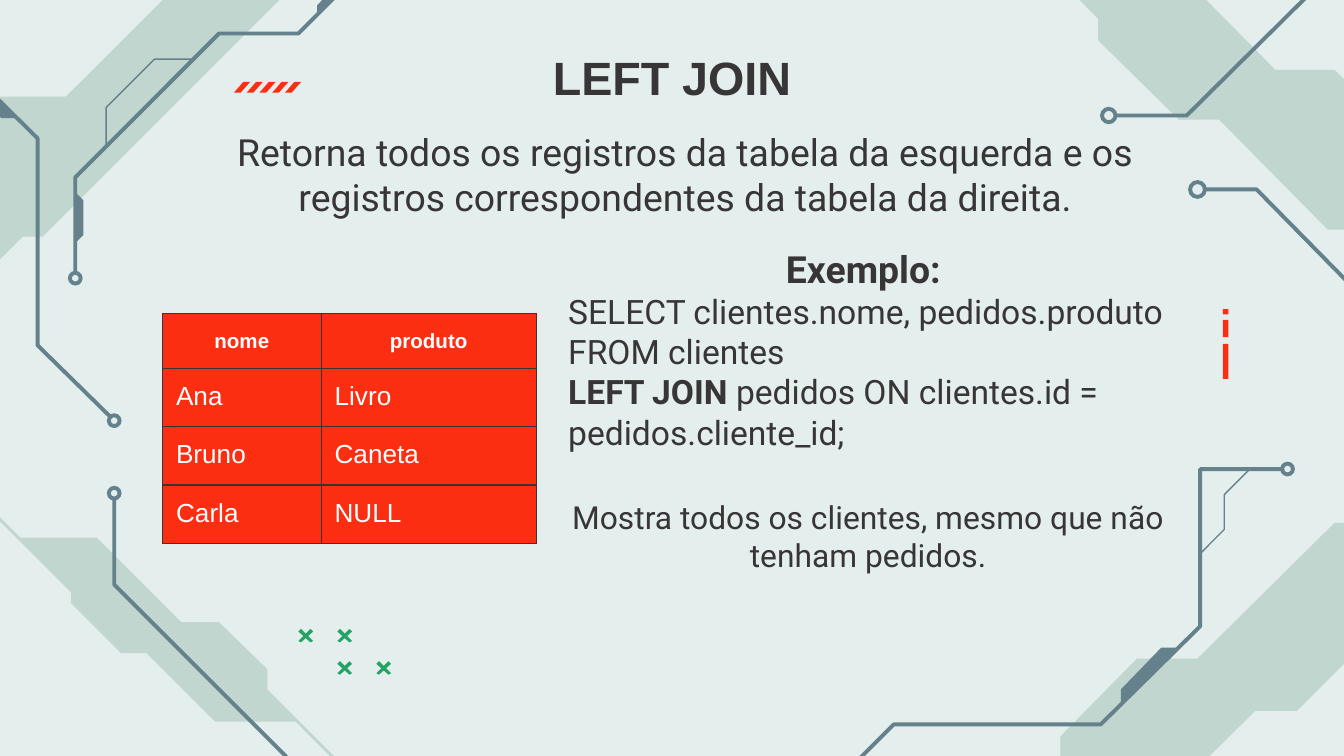
"""Build the LEFT JOIN slide with its circuit-board decoration."""
from lxml import etree
from pptx import Presentation
from pptx.dml.color import RGBColor
from pptx.enum.shapes import MSO_SHAPE
from pptx.enum.text import MSO_ANCHOR, MSO_AUTO_SIZE, PP_ALIGN
from pptx.oxml.ns import qn
from pptx.util import Inches, Pt

RECTANGLE, DONUT = MSO_SHAPE.RECTANGLE, MSO_SHAPE.DONUT
LEFT, CENTER = PP_ALIGN.LEFT, PP_ALIGN.CENTER
TOP, MIDDLE = MSO_ANCHOR.TOP, MSO_ANCHOR.MIDDLE
GROW, FIXED = MSO_AUTO_SIZE.SHAPE_TO_FIT_TEXT, MSO_AUTO_SIZE.NONE

MIST = RGBColor(0xE3, 0xEE, 0xED)
SAGE = RGBColor(0xC1, 0xD6, 0xCE)
STEEL = RGBColor(0x64, 0x81, 0x8C)
RED = RGBColor(0xFC, 0x2E, 0x12)
GREEN = RGBColor(0x24, 0xA3, 0x64)
INK = RGBColor(0x38, 0x35, 0x36)
WHITE = RGBColor(0xFF, 0xFF, 0xFF)

WIDTH = Inches(10)
HEIGHT = WIDTH * 9 // 16
COLUMNS = 10
UNIT = WIDTH // COLUMNS
INSETS = {f"margin_{side}": Inches(0.1) for side in ("left", "top", "right", "bottom")}

PLATES = [
    [(8.49, -0.49), (9.49, 0.52), (9.93, 0.52), (10.5, 1.08), (10.5, 1.35), (10.86, 1.71),
     (9.88, 1.71), (9.07, 0.89), (8.77, 0.89), (8.17, 0.3), (8.17, 0.14), (7.55, -0.49)],
    [(-2.06, 1.79), (-2.08, 1.8), (0.53, 4.41), (0.53, 4.49), (0.9, 4.86), (1.09, 4.86),
     (1.6, 5.37), (2.2, 5.37), (4.82, 8), (4.84, 7.98), (1.99, 5.13), (1.99, 4.98),
     (1.63, 4.63), (1.35, 4.63), (0.72, 4), (0.15, 4)],
    [(9.93, 3.89), (8.91, 4.9), (8.46, 4.9), (7.89, 5.48), (7.89, 5.75), (7.52, 6.11),
     (8.51, 6.11), (9.34, 5.29), (9.65, 5.29), (10.25, 4.69), (10.25, 4.53), (10.89, 3.89)],
    [(1.21, 0), (0.49, 0.72), (-0.16, 0.72), (-1.62, 2.17), (-0.25, 2.18), (0.17, 1.76),
     (0.32, 1.76), (2.08, 0)],
]
CHIPS = [
    [(8.77, 4.82), (8.64, 4.82), (8.34, 5.13), (8.34, 5.25)],
    [(0.57, 1.44), (0.62, 1.49), (0.62, 1.75), (0.57, 1.8)],
    [(2.62, -0.15), (2.36, 0.11), (2.36, 0.04), (2.54, -0.15)],
    [(-0.29, 0.45), (-0.29, 0.57), (0.01, 0.88), (0.13, 0.88)],
]
TRACES = [
    [(0.85, 3.7), (0.85, 4.35), (2.13, 5.63), (2.13, 6.02)],
    [(8.97, 1.41), (9.35, 1.41), (10.57, 2.65), (11.2, 2.65)],
    [(9.55, 3.49), (8.93, 3.49), (8.93, 4.66), (8.19, 5.39), (6.65, 5.39), (6.1, 5.94)],
    [(3.01, -0.54), (2.22, 0.25), (1.63, 0.25), (0.56, 1.32), (0.56, 2.03)],
    [(8.29, 0.86), (8.83, 0.86), (9.9, -0.2), (10.23, -0.2)],
    [(-1.62, -0.33), (-1.62, 0.3), (-0.46, 0.3), (0.28, 1.03), (0.28, 2.57), (0.83, 3.11)],
]
FINE_TRACES = [
    [(9.3, 3.49), (9.11, 3.68), (9.11, 3.94), (8.93, 4.12)],
    [(1.45, 0.44), (1.15, 0.44), (0.79, 0.8), (0.79, 1.09)],
]
PADS = [(0.85, 3.67, 0.11), (8.91, 1.41, 0.14), (9.58, 3.49, 0.11),
        (0.56, 2.07, 0.11), (8.25, 0.86, 0.13), (0.85, 3.13, 0.11)]
CROSSES = [(2.22, 4.68), (2.51, 4.68), (2.51, 4.92), (2.8, 4.92)]
DASHES = [(2.3, 0.04), (2.38, 0.13), (2.56, 0.26)]

ROWS = [("nome", "produto"), ("Ana", "Livro"), ("Bruno", "Caneta"), ("Carla", "NULL")]
INTRO = [
    ([("Retorna todos os registros da tabela da esquerda e os registros "
       "correspondentes da tabela da direita.", False)], 20, CENTER, 0),
]
EXAMPLE = [
    ([("Exemplo: ", True)], 20, CENTER, 0),
    ([("SELECT clientes.nome, pedidos.produto", False)], 18, LEFT, 0),
    ([("FROM clientes", False)], 18, LEFT, 0),
    ([("LEFT JOIN", True), (" pedidos ON clientes.id = pedidos.cliente_id;", False)], 18, LEFT, 0),
    ([("Mostra todos os clientes, mesmo que não tenham pedidos.", False)], 17, CENTER, 24.5),
]


def grid(*lengths):
    """Turn grid units into slide lengths."""
    return [round(length * UNIT) for length in lengths]


def outline(slide, points, closed):
    """Draw a flat path through grid points."""
    corners = [tuple(grid(*point)) for point in points]
    builder = slide.shapes.build_freeform(*corners[0])
    builder.add_line_segments(corners[1:], close=closed)
    path_shape = builder.convert_to_shape()
    path_shape.shadow.inherit = False
    return path_shape


def paint(shape, color):
    """Fill a shape without an outline."""
    shape.shadow.inherit = False
    shape.fill.solid()
    shape.fill.fore_color.rgb = color
    shape.line.fill.background()


def add_trace(slide, points, weight):
    """Draw an open circuit trace."""
    trace = outline(slide, points, False)
    trace.fill.background()
    trace.line.color.rgb = STEEL
    trace.line.width = Pt(weight)


def add_pad(slide, x, y, size):
    """Draw a ring centred on the end of a trace."""
    pad = slide.shapes.add_shape(DONUT, *grid(x - size / 2, y - size / 2, size, size))
    pad.adjustments[0] = 0.03 / size
    paint(pad, STEEL)


def add_cross(slide, x, y):
    """Draw a small cross from two mirrored bars."""
    bar = [(0.09, 0), (0, 0.09), (0.02, 0.1), (0.11, 0.02)]
    for points in (bar, [(0.11 - dx, dy) for dx, dy in bar]):
        paint(outline(slide, [(x + dx, y + dy) for dx, dy in points], True), GREEN)


def add_decoration(slide):
    """Draw plates, circuit traces and accents."""
    for shapes, color in ((PLATES, SAGE), (CHIPS, STEEL)):
        for points in shapes:
            paint(outline(slide, points, True), color)
    for traces, weight in ((TRACES, 2.1), (FINE_TRACES, 0.75)):
        for points in traces:
            add_trace(slide, points, weight)
    for pad in PADS:
        add_pad(slide, *pad)
    for cross in CROSSES:
        add_cross(slide, *cross)
    for step in range(5):
        x = 1.74 + step * 0.095
        slash = [(x + 0.07, 0.61), (x, 0.69), (x + 0.05, 0.69), (x + 0.12, 0.61)]
        paint(outline(slide, slash, True), RED)
    for y, length in DASHES:
        paint(slide.shapes.add_shape(RECTANGLE, *grid(9.1, y, 0.04, length)), RED)


def set_all(target, values):
    """Set attributes from a dict of format values."""
    for name, value in values.items():
        setattr(target, name, value)


def format_frame(frame, anchor, fit):
    """Set wrapping, insets and anchor of a text frame."""
    set_all(frame, {"word_wrap": True, "auto_size": fit, "vertical_anchor": anchor, **INSETS})


def add_run(paragraph, text, size, font, color, bold):
    """Append formatted text to a paragraph."""
    run = paragraph.add_run()
    run.text = text
    set_all(run.font, {"size": Pt(size), "name": font, "bold": bold})
    run.font.color.rgb = color


def add_title(slide, text):
    """Place and format the title placeholder."""
    title = slide.shapes.title
    set_all(title, dict(zip(("left", "top", "width", "height"), grid(2.36, 0, 5.28, 1.14))))
    format_frame(title.text_frame, MIDDLE, FIXED)
    heading = title.text_frame.paragraphs[0]
    heading.alignment = CENTER
    add_run(heading, text, 25, "Arial", INK, True)


def add_text(slide, box, paragraphs):
    """Add a text box with one paragraph per entry."""
    frame = slide.shapes.add_textbox(*grid(*box)).text_frame
    format_frame(frame, TOP, GROW)
    for index, (runs, size, alignment, gap) in enumerate(paragraphs):
        paragraph = frame.add_paragraph() if index else frame.paragraphs[0]
        set_all(paragraph, {"alignment": alignment, "space_before": Pt(gap)})
        for text, bold in runs:
            add_run(paragraph, text, size, "Roboto", INK, bold)


def format_cell(cell, text, header):
    """Give a cell its borders, fill and text."""
    properties = cell._tc.get_or_add_tcPr()
    for side in ("a:lnL", "a:lnR", "a:lnT", "a:lnB"):
        border = etree.SubElement(properties, qn(side), w=str(Pt(0.75)))
        fill = etree.SubElement(border, qn("a:solidFill"))
        etree.SubElement(fill, qn("a:srgbClr"), val=str(INK))
    cell.fill.solid()
    cell.fill.fore_color.rgb = RED
    set_all(cell, INSETS)
    paragraph = cell.text_frame.paragraphs[0]
    set_all(paragraph, {"alignment": CENTER if header else LEFT,
                        "line_spacing": 1.15 if header else 1.0})
    add_run(paragraph, text, 11 if header else 14, "Arial", WHITE, header)


def add_result_table(slide):
    """Add the query result table."""
    table = slide.shapes.add_table(len(ROWS), 2, *grid(1.21, 2.33, 2.78, 1.7)).table
    for column, width in zip(table.columns, grid(1.18, 1.6)):
        column.width = width
    for index, (row, values) in enumerate(zip(table.rows, ROWS)):
        row.height = grid(0.43 if index else 0.41)[0]
        for cell, text in zip(row.cells, values):
            format_cell(cell, text, index == 0)


def main():
    """Build and save the presentation."""
    presentation = Presentation()
    set_all(presentation, {"slide_width": WIDTH, "slide_height": HEIGHT})
    slide = presentation.slides.add_slide(presentation.slide_layouts[5])
    slide.background.fill.solid()
    slide.background.fill.fore_color.rgb = MIST
    add_decoration(slide)
    add_title(slide, "LEFT JOIN")
    add_text(slide, (1.31, 0.86, 7.58, 0.86), INTRO)
    add_result_table(slide)
    add_text(slide, (4.13, 1.73, 4.66, 2.66), EXAMPLE)
    presentation.save("out.pptx")


if __name__ == "__main__":
    main()
